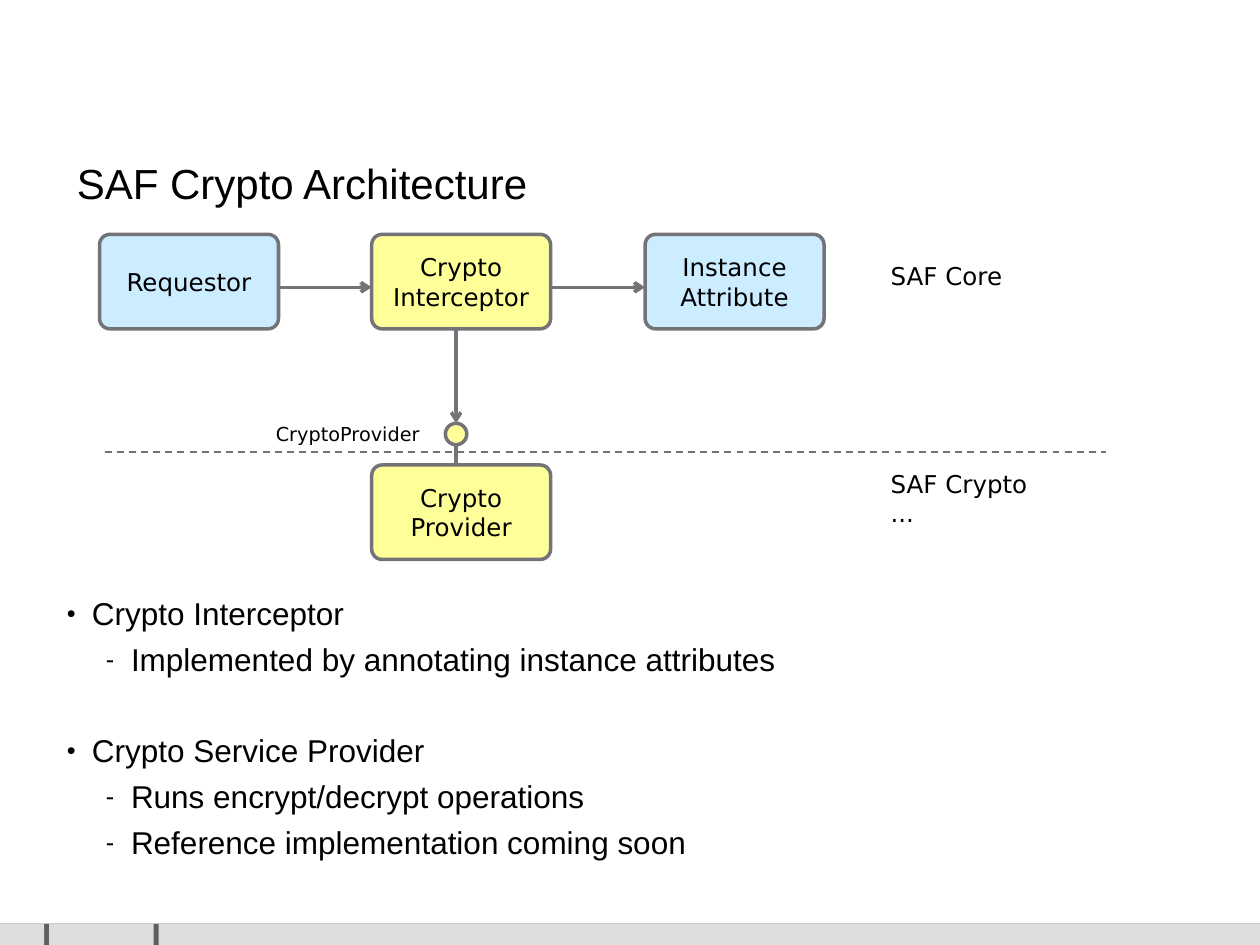
from lxml.etree import SubElement as Sub
from pptx import Presentation
from pptx.dml.color import RGBColor as RGB
from pptx.enum.dml import MSO_LINE as Dash
from pptx.enum.shapes import MSO_CONNECTOR as Link, MSO_SHAPE as Form
from pptx.enum.text import MSO_ANCHOR as Anchor, MSO_AUTO_SIZE as Auto, PP_ALIGN as Align
from pptx.oxml.ns import qn
from pptx.util import Inches, Pt

COLORS = {"text": "000000", "line": "747378", "core": "CCECFF", "crypto": "FFFF99",
          "bar": "DDDDDD", "gap": "5F5F5F"}
BOX_W, BOX_H = 1.42, 0.75
COLS = [0.79, 2.95, 5.12]
ROWS = [1.86, 3.69]
FLOW_Y, AXIS_X = 2.28, 3.62
DOT_Y, DOT_D = 3.36, 0.17


def color(name):
    return RGB.from_string(COLORS[name])


def style(frame, size, face, align=Align.LEFT):
    for par in frame.paragraphs:
        par.alignment = align
        for run in par.runs:
            run.font.size = Pt(size)
            run.font.name = face
            run.font.color.rgb = color("text")


def add_form(slide, form, spot, fill, edge=True):
    shape = slide.shapes.add_shape(form, *map(Inches, spot))
    shape.shadow.inherit = False
    shape.fill.solid()
    shape.fill.fore_color.rgb = color(fill)
    if edge:
        shape.line.color.rgb = color("line")
        shape.line.width = Pt(2)
    else:
        shape.line.fill.background()
    return shape


def add_box(slide, col, row, text, fill):
    spot = COLS[col], ROWS[row], BOX_W, BOX_H
    box = add_form(slide, Form.ROUNDED_RECTANGLE, spot, fill)
    box.adjustments[0] = 0.11
    frame = box.text_frame
    frame.text = text
    frame.word_wrap = False
    frame.vertical_anchor = Anchor.MIDDLE
    style(frame, 14, "DejaVu Sans", Align.CENTER)


def add_line(slide, start, end, width=2, arrow=False):
    line = slide.shapes.add_connector(Link.STRAIGHT, *map(Inches, start + end))
    line.line.color.rgb = color("line")
    line.line.width = Pt(width)
    if arrow:
        Sub(line.line._get_or_add_ln(), qn("a:tailEnd"), type="arrow")
    Sub(line._element.spPr, qn("a:effectLst"))
    return line


def add_label(slide, spot, text, size):
    frame = slide.shapes.add_textbox(*map(Inches, spot)).text_frame
    frame.text = text
    frame.word_wrap = True
    frame.auto_size = Auto.SHAPE_TO_FIT_TEXT
    style(frame, size, "DejaVu Sans")


def place(holder, spot):
    holder.left, holder.top, holder.width, holder.height = map(Inches, spot)
    frame = holder.text_frame
    frame.word_wrap = True
    frame.auto_size = Auto.NONE
    frame.vertical_anchor = Anchor.TOP
    return frame


def add_title(slide, text):
    frame = place(slide.shapes.title, (0.61, 1.31, 8.7, 0.75))
    frame.margin_left = frame.margin_right = frame.margin_top = frame.margin_bottom = 0
    frame.text = text
    frame.paragraphs[0].line_spacing = 0.85
    style(frame, 24, "Arial")


def set_bullet(par, char, left):
    props = par._p.get_or_add_pPr()
    props.set("marL", str(Inches(left)))
    props.set("indent", str(Inches(-0.2)))
    Sub(Sub(props, qn("a:buClr")), qn("a:srgbClr"), val=COLORS["text"])
    Sub(props, qn("a:buSzPct"), val="80000")
    Sub(props, qn("a:buFont"), typeface="Arial")
    Sub(props, qn("a:buChar"), char=char)


def add_list(slide, groups):
    frame = place(slide.placeholders[1], (0.43, 4.69, 8.9, 2.28))
    items = [(level, text) for head, subs in groups
             for level, text in [(0, head)] + [(1, sub) for sub in subs]]
    frame.text = "\n".join(text for level, text in items)
    for num, (par, (level, text)) in enumerate(zip(frame.paragraphs, items)):
        par.level = level
        set_bullet(par, "•-"[level], [0.2, 0.51][level])
        par.line_spacing = 0.95
        par.space_after = Pt(0)
        par.space_before = Pt(0 if num == 0 else 5.6 if level else 31.6)
    style(frame, 18, "Arial")


def add_bar(slide):
    top, high = 7.33, 0.17
    add_form(slide, Form.RECTANGLE, (0, top, 10, high), "gap", False)
    for left, right in [(0, 0.35), (0.39, 1.22), (1.26, 10)]:
        add_form(slide, Form.RECTANGLE, (left, top, right - left, high), "bar", False)


def add_chain(slide):
    add_box(slide, 0, 0, "Requestor", "core")
    add_box(slide, 1, 1, "Crypto\nProvider", "crypto")
    add_box(slide, 1, 0, "Crypto\nInterceptor", "crypto")
    add_box(slide, 2, 0, "Instance\nAttribute", "core")
    for left, right in zip(COLS, COLS[1:]):
        add_line(slide, (left + BOX_W, FLOW_Y), (right, FLOW_Y), arrow=True)
    add_line(slide, (AXIS_X, ROWS[0] + BOX_H), (AXIS_X, DOT_Y), arrow=True)
    add_form(slide, Form.OVAL, (AXIS_X - DOT_D / 2, DOT_Y, DOT_D, DOT_D), "crypto")
    add_line(slide, (AXIS_X, DOT_Y + DOT_D), (AXIS_X, ROWS[1]))
    add_label(slide, (2.09, 3.3, 1.42, 0.29), "CryptoProvider", 11)


def add_layers(slide):
    split = add_line(slide, (0.83, 3.59), (8.78, 3.59), 1)
    split.line.dash_style = Dash.DASH
    add_label(slide, (6.97, 2.02, 1.42, 0.34), "SAF Core", 14)
    add_label(slide, (6.97, 3.67, 2.05, 0.57), "SAF Crypto\n...", 14)


def main():
    deck = Presentation()
    deck.slide_width, deck.slide_height = Inches(10), Inches(7.5)
    slide = deck.slides.add_slide(deck.slide_layouts[1])
    add_bar(slide)
    add_title(slide, "SAF Crypto Architecture")
    add_chain(slide)
    add_layers(slide)
    add_list(slide, [
        ("Crypto Interceptor", ["Implemented by annotating instance attributes"]),
        ("Crypto Service Provider", ["Runs encrypt/decrypt operations",
                                     "Reference implementation coming soon"]),
    ])
    deck.save("out.pptx")


if __name__ == "__main__":
    main()
